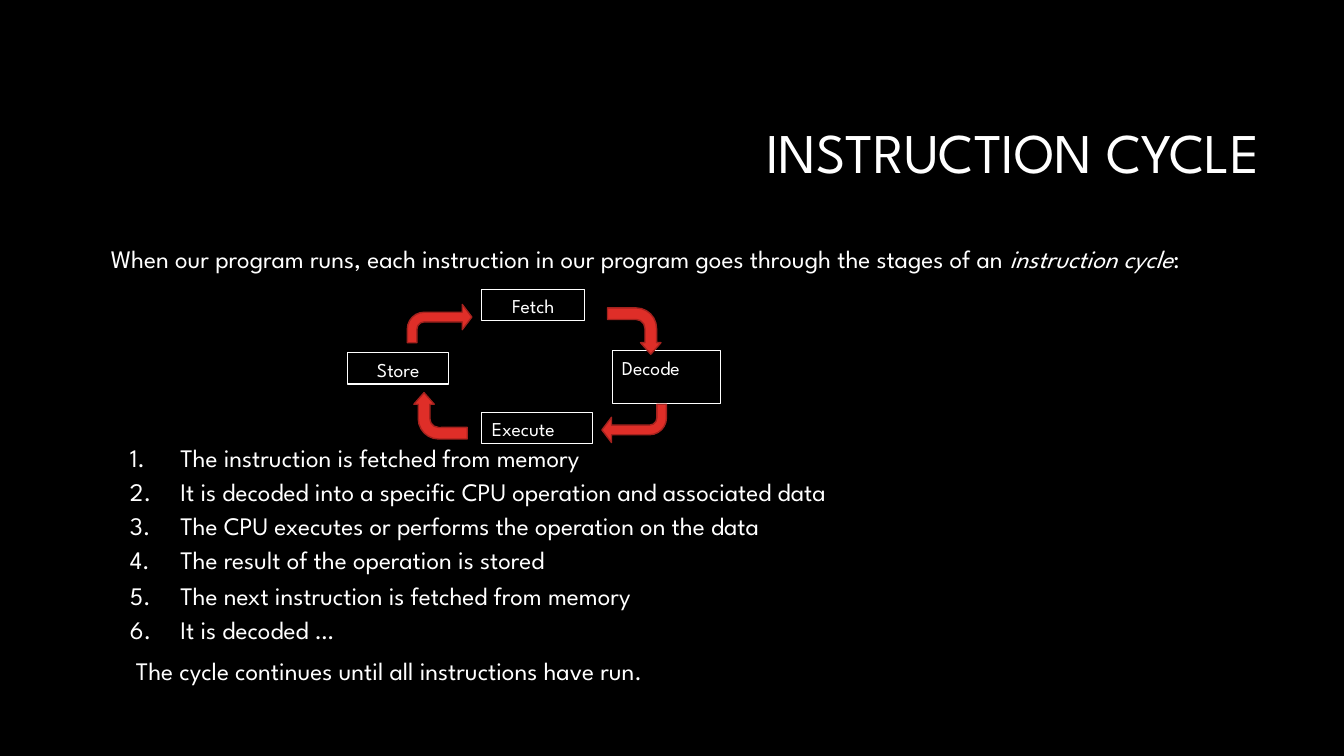
"""Builds the instruction cycle slide."""
from lxml.etree import SubElement
from pptx import Presentation
from pptx.dml.color import RGBColor
from pptx.enum.shapes import MSO_SHAPE
from pptx.enum.text import MSO_ANCHOR, MSO_AUTO_SIZE, PP_ALIGN
from pptx.oxml.ns import qn
from pptx.util import Inches, Pt

BLACK = RGBColor(0x00, 0x00, 0x00)
WHITE = RGBColor(0xFF, 0xFF, 0xFF)
RED = RGBColor(0xDF, 0x2E, 0x28)
DARK_RED = RGBColor(0xA5, 0x22, 0x1E)
FONT = "League Spartan"


def add_run(paragraph, text, size, italic=False):
    run = paragraph.add_run()
    run.text = text
    run.font.name = FONT
    run.font.size = Pt(size)
    run.font.italic = italic
    run.font.color.rgb = WHITE


def add_text_frame(left, top, width, height):
    frame = slide.shapes.add_textbox(
        Inches(left), Inches(top), Inches(width), Inches(height)).text_frame
    frame.word_wrap = True
    frame.paragraphs[0].line_spacing = 0.9
    return frame


prs = Presentation()
prs.slide_width = Inches(13.33)
prs.slide_height = Inches(7.5)
slide = prs.slides.add_slide(prs.slide_layouts[6])
slide.background.fill.solid()
slide.background.fill.fore_color.rgb = BLACK

title = add_text_frame(3.17, 0.84, 9.42, 1.41)
title.vertical_anchor = MSO_ANCHOR.MIDDLE
title.paragraphs[0].alignment = PP_ALIGN.RIGHT
add_run(title.paragraphs[0], "INSTRUCTION CYCLE", 40)

intro = add_text_frame(1, 2.4, 11.58, 0.4).paragraphs[0]
add_run(intro, "When our program runs, each instruction in our program "
        "goes through the stages of an ", 18)
add_run(intro, "instruction cycle", 18, italic=True)
add_run(intro, ":", 18)

steps = [
    "The instruction is fetched from memory",
    "It is decoded into a specific CPU operation and associated data",
    "The CPU executes or performs the operation on the data",
    "The result of the operation is stored",
    "The next instruction is fetched from memory",
    "It is decoded …",
]
explanation = add_text_frame(0.75, 4.37, 11.83, 2.43)
for number, step in enumerate(steps, 1):
    item = explanation.paragraphs[0] if number == 1 else explanation.add_paragraph()
    properties = item._p.get_or_add_pPr()
    properties.set("marL", str(Inches(0.94)))
    properties.set("indent", str(Inches(-0.5)))
    SubElement(properties, qn("a:buFont"), typeface="+mj-lt")
    SubElement(properties, qn("a:buAutoNum"), type="arabicPeriod")
    item.line_spacing = 0.9
    if number > 1:
        item.space_before = Pt(6 if number == 5 else 5)
    add_run(item, step, 18)

closing = explanation.add_paragraph()
closing._p.get_or_add_pPr().set("marL", str(Inches(0.5)))
closing.line_spacing = 0.9
closing.space_before = Pt(10)
add_run(closing, "The cycle continues until all instructions have run.", 18)

stages = [
    ("Fetch", 4.78, 2.87, 1.02, 0.31, PP_ALIGN.CENTER),
    ("Decode", 6.07, 3.48, 1.08, 0.52, PP_ALIGN.LEFT),
    ("Execute", 4.78, 4.09, 1.1, 0.31, PP_ALIGN.LEFT),
    ("Store", 3.45, 3.5, 1, 0.31, PP_ALIGN.CENTER),
]
for name, left, top, width, height, alignment in stages:
    stage = slide.shapes.add_shape(
        MSO_SHAPE.RECTANGLE, Inches(left), Inches(top), Inches(width), Inches(height))
    stage.shadow.inherit = False
    stage.fill.background()
    stage.line.color.rgb = WHITE
    stage.line.width = Pt(0.75)
    stage.text_frame.word_wrap = True
    stage.text_frame.auto_size = MSO_AUTO_SIZE.SHAPE_TO_FIT_TEXT
    stage.text_frame.vertical_anchor = MSO_ANCHOR.TOP
    label = stage.text_frame.paragraphs[0]
    label.alignment = alignment
    add_run(label, name, 14)

turns = [
    (4.04, 3.02, 0.64, 0.38, 0.33, 0),
    (5.97, 4.01, 0.64, 0.38, 0.33, 180),
    (4.14, 3.86, 0.46, 0.53, 0.22, 270),
    (6.06, 3.02, 0.46, 0.53, 0.22, 90),
]
for left, top, width, height, head_width, rotation in turns:
    turn = slide.shapes.add_shape(
        MSO_SHAPE.BENT_ARROW, Inches(left), Inches(top), Inches(width), Inches(height))
    turn.shadow.inherit = False
    turn.rotation = rotation
    for index, value in enumerate((0.25, head_width, 0.25, 0.44)):
        turn.adjustments[index] = value
    turn.fill.solid()
    turn.fill.fore_color.rgb = RED
    turn.line.color.rgb = DARK_RED
    turn.line.width = Pt(1)

prs.save("out.pptx")
